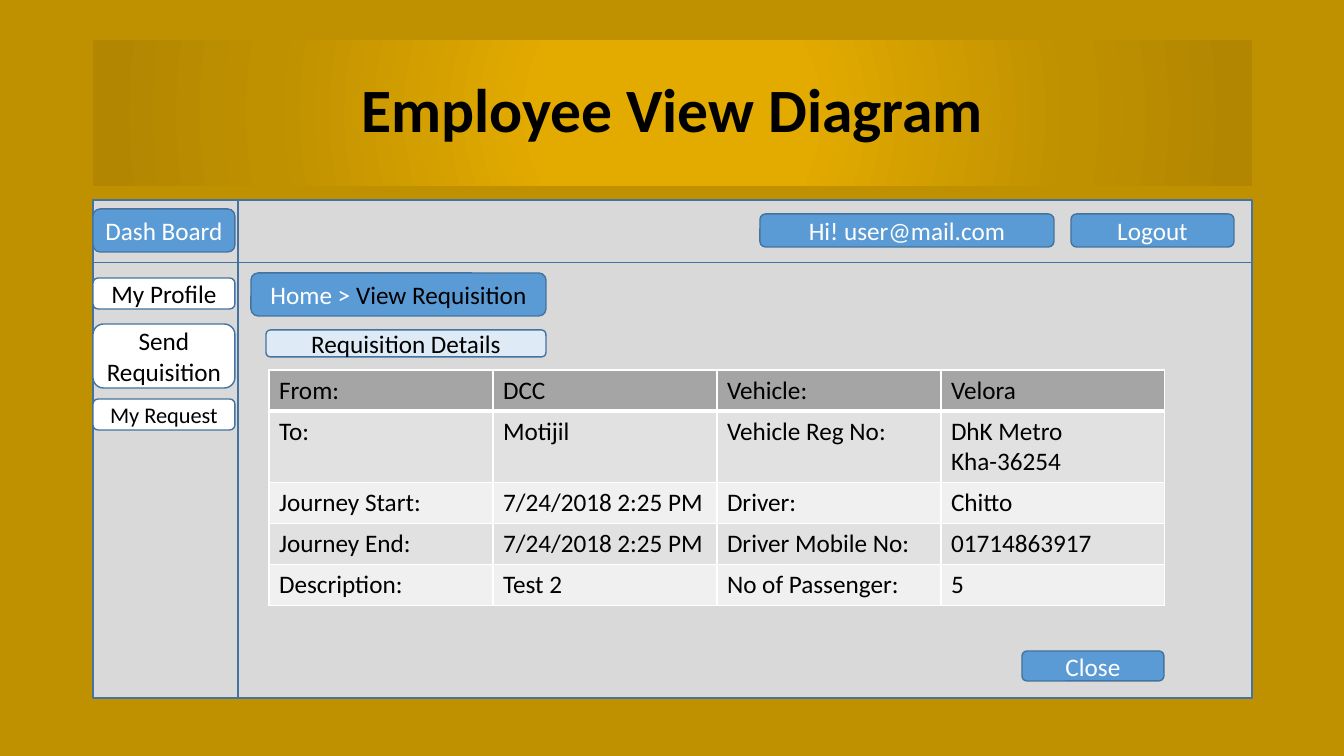
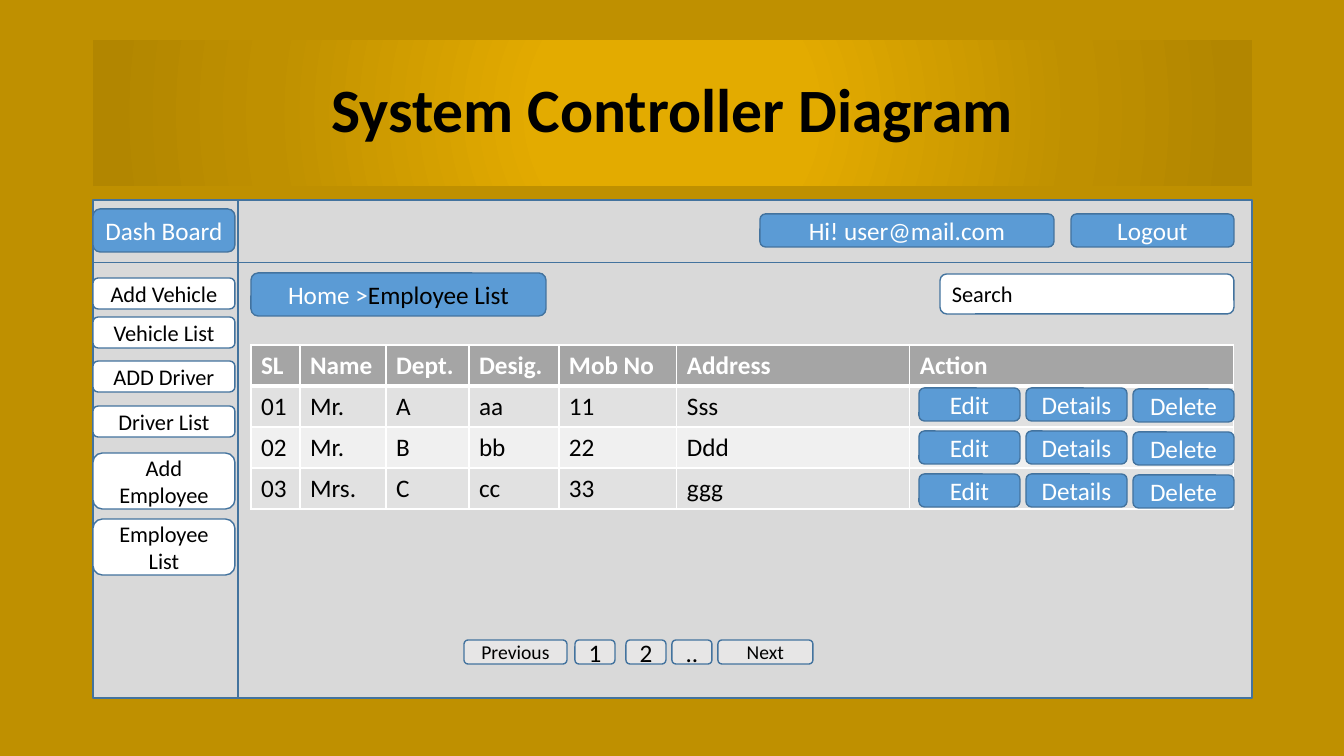
from collections import namedtuple
from itertools import product

from lxml import etree
from pptx import Presentation
from pptx.dml.color import RGBColor
from pptx.enum.shapes import MSO_SHAPE as Shape
from pptx.enum.text import MSO_ANCHOR as Anchor, PP_ALIGN as Align
from pptx.oxml import parse_xml
from pptx.oxml.ns import nsdecls, qn
from pptx.util import Emu, Pt

COLORS = {
    "background": "BF9000", "panel": "D9D9D9", "outline": "43739E",
    "blue": "5B9BD5", "pale": "DEEBF7", "gray": "E7E6E6",
    "white": "FFFFFF", "black": "000000",
    "header": "A5A5A5", "odd": "E1E1E1", "even": "F0F0F0",
}
TITLE_STOPS = [(0, "E3AB00"), (23, "E3AB00"), (69, "BF9000"), (97, "B28600")]
FONT = "Calibri"
Box = namedtuple("Box", "left top width height")
PAGE = Box(0, 0, 1344, 756)
TITLE = Box(93, 40, 1159, 146)
PANEL = Box(93, 200, 1159, 498)


def px(length):
    """Turn pixels into EMU."""
    return Emu(round(length * 914400 / 100.8))


def color(name):
    """Look up a named colour."""
    return RGBColor.from_string(COLORS[name])


def inside(box, left, top, width, height):
    """Return a box whose offset is measured from another box."""
    return Box(box.left + left, box.top + top, width, height)


def format_font(font, size, name, bold=False):
    """Set the face, size, colour and weight of a font."""
    font.name, font.size, font.bold = FONT, Pt(size), bold
    font.color.rgb = color(name)


def add_box(slide, kind, box, fill):
    """Add a filled preset shape with the common outline."""
    shape = slide.shapes.add_shape(kind, *map(px, box))
    shape.shadow.inherit = False
    shape.fill.solid()
    shape.fill.fore_color.rgb = color(fill)
    shape.line.color.rgb = color("outline")
    shape.line.width = Pt(1)
    return shape


def add_button(slide, box, text, fill="blue", size=18, align=Align.CENTER):
    """Add a rounded button, with white text on blue and black elsewhere."""
    shape = add_box(slide, Shape.ROUNDED_RECTANGLE, box, fill)
    frame = shape.text_frame
    frame.word_wrap = True
    frame.vertical_anchor = Anchor.MIDDLE
    frame.text = text
    for paragraph in frame.paragraphs:
        paragraph.alignment = align
        format_font(paragraph.font, size, "white" if fill == "blue" else "black")
    return shape


def add_title(slide, box, text):
    """Fill the title placeholder and give it the radial gold band."""
    title = slide.shapes.title
    title.left, title.top, title.width, title.height = map(px, box)
    stops = "".join(
        f'<a:gs pos="{position * 1000}"><a:srgbClr val="{value}"/></a:gs>'
        for position, value in TITLE_STOPS)
    title.element.spPr.append(parse_xml(
        f'<a:gradFill {nsdecls("a")} rotWithShape="1"><a:gsLst>{stops}</a:gsLst>'
        '<a:path path="circle">'
        '<a:fillToRect l="50000" t="50000" r="50000" b="50000"/>'
        '</a:path></a:gradFill>'))
    title.text_frame.text = text
    title.text_frame.vertical_anchor = Anchor.MIDDLE
    paragraph = title.text_frame.paragraphs[0]
    paragraph.alignment = Align.CENTER
    paragraph.line_spacing = 0.9
    format_font(paragraph.font, 44, "black", bold=True)


def add_sidebar(slide, box, entries):
    """Stack menu entries, each given as text, top, height and text size."""
    for text, top, height, size in entries:
        add_button(slide, inside(box, 0, top, 142, height), text, "white", size)


def add_window(slide, box, home, page, entries):
    """Draw the application window: top bar, sidebar and breadcrumb."""
    add_box(slide, Shape.FLOWCHART_INTERNAL_STORAGE, box, "panel")
    add_button(slide, inside(box, 978, 14, 163, 33), "Logout")
    add_button(slide, inside(box, 667, 14, 294, 33), "Hi! user@mail.com")
    add_button(slide, inside(box, 0, 9, 142, 43), "Dash Board")
    add_sidebar(slide, box, entries)
    breadcrumb = add_button(slide, inside(box, 158, 73, 295, 43), home)
    run = breadcrumb.text_frame.paragraphs[0].add_run()
    run.text = page
    run.font.color.rgb = color("black")


def set_borders(cell, bottom):
    """Draw white cell borders, with the bottom one in its own width."""
    properties = cell._tc.get_or_add_tcPr()
    sides = {"lnL": 1, "lnR": 1, "lnT": 1, "lnB": bottom}
    for index, (side, width) in enumerate(sides.items()):
        line = etree.Element(qn(f"a:{side}"), w=str(Pt(width)))
        fill = etree.SubElement(line, qn("a:solidFill"))
        etree.SubElement(fill, qn("a:srgbClr"), val=COLORS["white"])
        properties.insert(index, line)


def add_grid(slide, left, top, widths, row_height, rows, header_text, header_bold):
    """Add a banded table with a darker first row."""
    box = Box(left, top, sum(widths), row_height * len(rows))
    table = slide.shapes.add_table(len(rows), len(widths), *map(px, box)).table
    for column, width in zip(table.columns, widths):
        column.width = px(width)
    for row in table.rows:
        row.height = px(row_height)
    for row, column in product(range(len(rows)), range(len(widths))):
        cell = table.cell(row, column)
        cell.text = rows[row][column]
        is_header = row == 0
        cell.fill.solid()
        cell.fill.fore_color.rgb = color(
            "header" if is_header else "odd" if row % 2 else "even")
        set_borders(cell, 3 if is_header else 1)
        format_font(cell.text_frame.paragraphs[0].font, 18,
                    header_text if is_header else "black",
                    is_header and header_bold)


def add_requisition(slide, box):
    """Show the details of one requisition and the button to close it."""
    rows = [
        ("From:", "DCC", "Vehicle:", "Velora"),
        ("To:", "Motijil", "Vehicle Reg No:", "DhK Metro Kha-36254"),
        ("Journey Start:", "7/24/2018 2:25 PM", "Driver:", "Chitto"),
        ("Journey End:", "7/24/2018 2:25 PM", "Driver Mobile No:", "01714863917"),
        ("Description:", "Test 2", "No of Passenger:", "5"),
    ]
    add_button(slide, inside(box, 929, 451, 142, 30), "Close")
    add_grid(slide, box.left + 176, box.top + 170, [224] * 4, 41, rows,
             "black", False)
    add_button(slide, inside(box, 173, 130, 280, 27), "Requisition Details", "pale")


def add_pager(slide, box):
    """Place the page buttons in a row along the top of the box."""
    buttons = [("Previous", 0, 103, 14), ("1", 111, 40, 18), ("2", 162, 40, 18),
               ("..", 208, 40, 18), ("Next", 254, 95, 14)]
    for text, left, width, size in buttons:
        add_button(slide, inside(box, left, 0, width, box.height), text, "gray", size)


def add_employees(slide, box):
    """Show the employee table with its row actions, search and pager."""
    rows = [
        ("SL", "Name", "Dept.", "Desig.", "Mob No", "Address", "Action"),
        ("01", "Mr.", "A", "aa", "11", "Sss", ""),
        ("02", "Mr.", "B", "bb", "22", "Ddd", ""),
        ("03", "Mrs.", "C", "cc", "33", "ggg", ""),
    ]
    add_grid(slide, box.left + 158, box.top + 145, [49, 86, 83, 90, 118, 233, 324],
             41, rows, "white", True)
    actions = [("Edit", 0), ("Details", 0), ("Delete", 1)]
    for row, (column, (text, drop)) in product(range(3), enumerate(actions)):
        add_button(slide, inside(box, 826 + 107 * column, 188 + 43 * row + drop,
                                 101, 33), text)
    add_button(slide, inside(box, 847, 74, 294, 40), "Search", "white", 16, Align.LEFT)
    add_pager(slide, inside(box, 371, 440, 349, 24))


def add_view(presentation, title, home, page, entries, add_content):
    """Add one slide: title band, application window and its content."""
    slide = presentation.slides.add_slide(presentation.slide_layouts[5])
    slide.background.fill.solid()
    slide.background.fill.fore_color.rgb = color("background")
    add_title(slide, TITLE, title)
    add_window(slide, PANEL, home, page, entries)
    add_content(slide, PANEL)


def main():
    """Build and save the presentation."""
    presentation = Presentation()
    presentation.slide_width = px(PAGE.width)
    presentation.slide_height = px(PAGE.height)
    add_view(presentation, "Employee View Diagram", "Home > ", "View Requisition",
             [("My Profile", 78, 31, 18), ("Send\nRequisition", 124, 64, 18),
              ("My Request", 199, 31, 16)], add_requisition)
    add_view(presentation, "System Controller Diagram", "Home >", "Employee List",
             [("Add Vehicle", 78, 31, 16), ("Vehicle List", 117, 31, 16),
              ("ADD Driver", 161, 31, 16), ("Driver List", 206, 31, 16),
              ("Add Employee", 253, 56, 16), ("Employee List", 319, 56, 16)],
             add_employees)
    presentation.save("out.pptx")


main()
